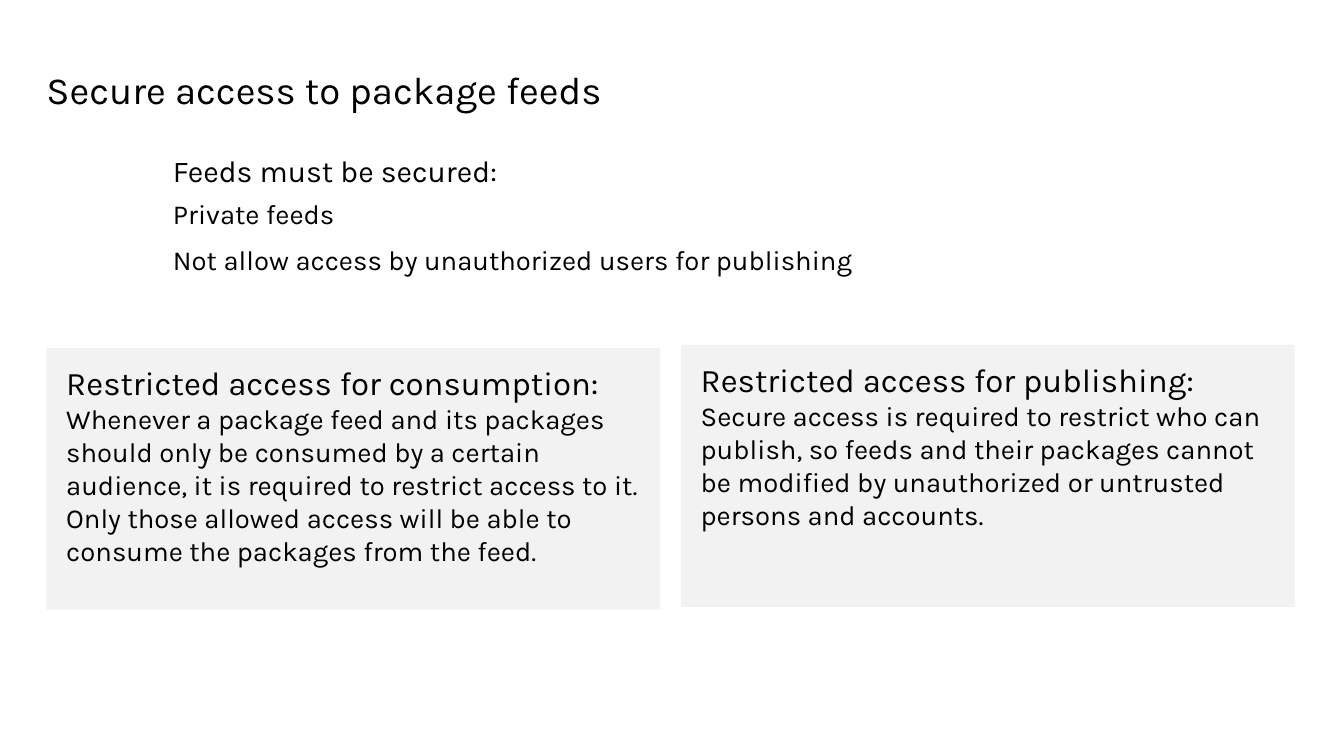
from lxml.etree import SubElement
from pptx import Presentation
from pptx.dml.color import RGBColor
from pptx.enum.shapes import MSO_SHAPE
from pptx.enum.text import MSO_ANCHOR, MSO_AUTO_SIZE, PP_ALIGN
from pptx.oxml.ns import qn
from pptx.util import Inches, Pt


def color(hex_string):
    return RGBColor.from_string(hex_string)


def write(paragraph, text, size, font, ink, before=0, after=0, line=1.0):
    properties = paragraph._p.get_or_add_pPr()
    properties.set("marL", "0")
    properties.set("indent", "0")
    SubElement(properties, qn("a:buNone"))
    paragraph.alignment = PP_ALIGN.LEFT
    paragraph.space_before = Pt(before)
    paragraph.space_after = Pt(after)
    paragraph.line_spacing = line
    run = paragraph.add_run()
    run.text = text
    run.font.name = font
    run.font.size = Pt(size)
    run.font.color.rgb = color(ink)


class FeedSlide:
    font = "Karla"
    ink = "000000"
    panel_fill = "F2F2F2"

    def __init__(self, presentation):
        self.slide = presentation.slides.add_slide(presentation.slide_layouts[1])

    def place(self, shape, left, top, width, height):
        shape.left, shape.top = Inches(left), Inches(top)
        shape.width, shape.height = Inches(width), Inches(height)

    def fill_text(self, shape, lines, side=0, edge=0):
        frame = shape.text_frame
        frame.word_wrap = True
        frame.auto_size = MSO_AUTO_SIZE.NONE
        frame.vertical_anchor = MSO_ANCHOR.TOP
        frame.margin_left = frame.margin_right = Inches(side)
        frame.margin_top = frame.margin_bottom = Inches(edge)
        for index, (text, size, spacing) in enumerate(lines):
            paragraph = frame.add_paragraph() if index else frame.paragraphs[0]
            write(paragraph, text, size, self.font, self.ink, **spacing)

    def title(self, text, *box):
        shape = self.slide.shapes.title
        self.place(shape, *box)
        self.fill_text(shape, [(text, 28, {"line": Pt(32)})])

    def body(self, lines, *box):
        shape = self.slide.placeholders[1]
        self.place(shape, *box)
        self.fill_text(shape, lines)

    def panel(self, heading, text, *box):
        shape = self.slide.shapes.add_shape(
            MSO_SHAPE.RECTANGLE, *[Inches(length) for length in box])
        shape.shadow.inherit = False
        shape.fill.solid()
        shape.fill.fore_color.rgb = color(self.panel_fill)
        shape.line.fill.background()
        self.fill_text(shape, [(heading, 24, {}), (text, 20, {})], 0.2, 0.15)


def main():
    presentation = Presentation()
    presentation.slide_width = Inches(13.6)
    presentation.slide_height = Inches(7.65)

    feeds = FeedSlide(presentation)
    feeds.title("Secure access to package feeds", 0.47, 0.69, 12.65, 0.45)
    feeds.body([
        ("Feeds must be secured:", 22, {}),
        ("Private feeds", 20, {"before": 6, "after": 6}),
        ("Not allow access by unauthorized users for publishing", 20,
         {"before": 4, "after": 6}),
    ], 1.75, 1.54, 11.35, 1.27)
    feeds.panel(
        "Restricted access for consumption:",
        "Whenever a package feed and its packages should only be consumed by a "
        "certain audience, it is required to restrict access to it. Only those "
        "allowed access will be able to consume the packages from the feed.",
        0.47, 3.52, 6.21, 2.65)
    feeds.panel(
        "Restricted access for publishing:",
        "Secure access is required to restrict who can publish, so feeds and "
        "their packages cannot be modified by unauthorized or untrusted persons "
        "and accounts.",
        6.89, 3.49, 6.21, 2.65)

    presentation.save("out.pptx")


if __name__ == "__main__":
    main()
